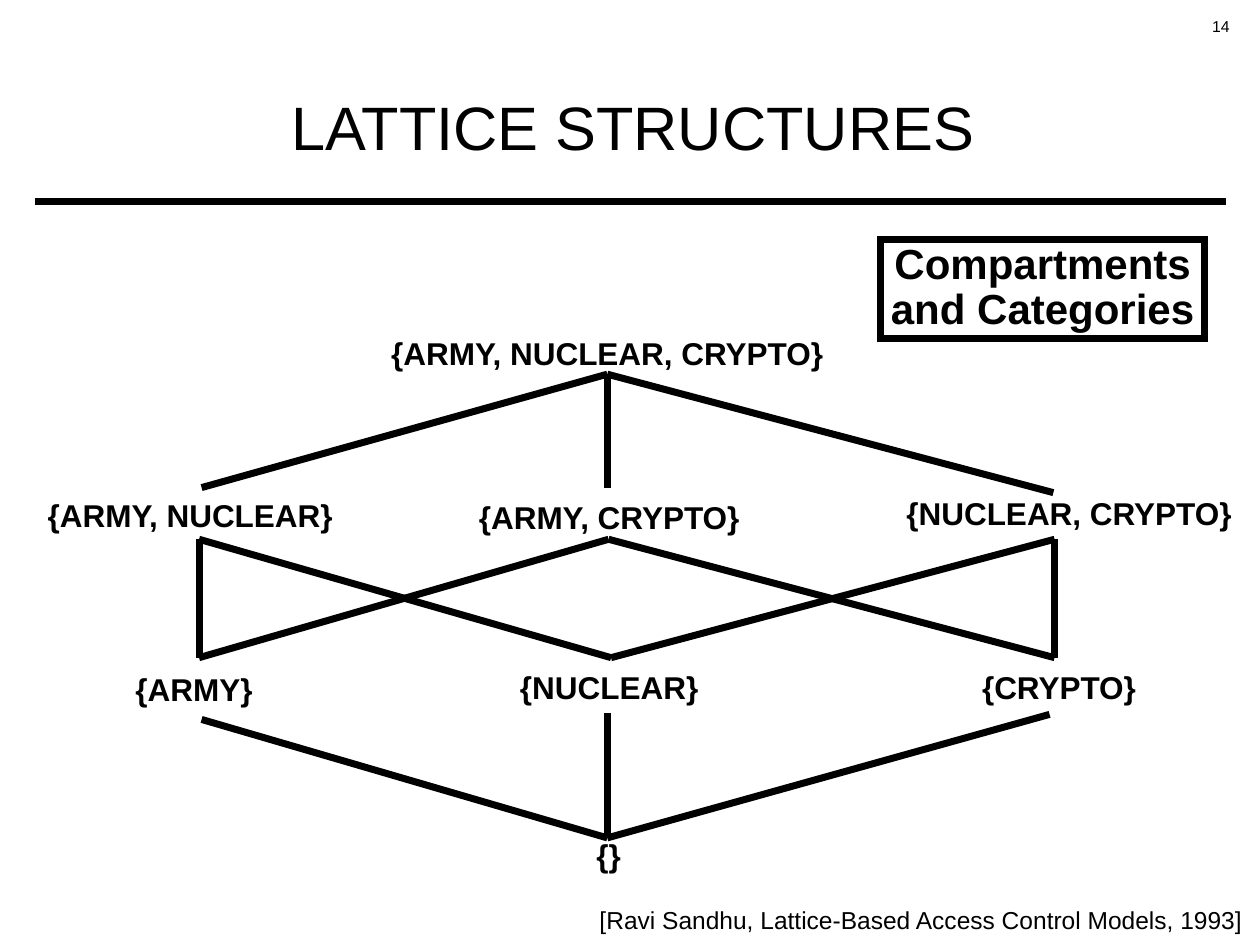
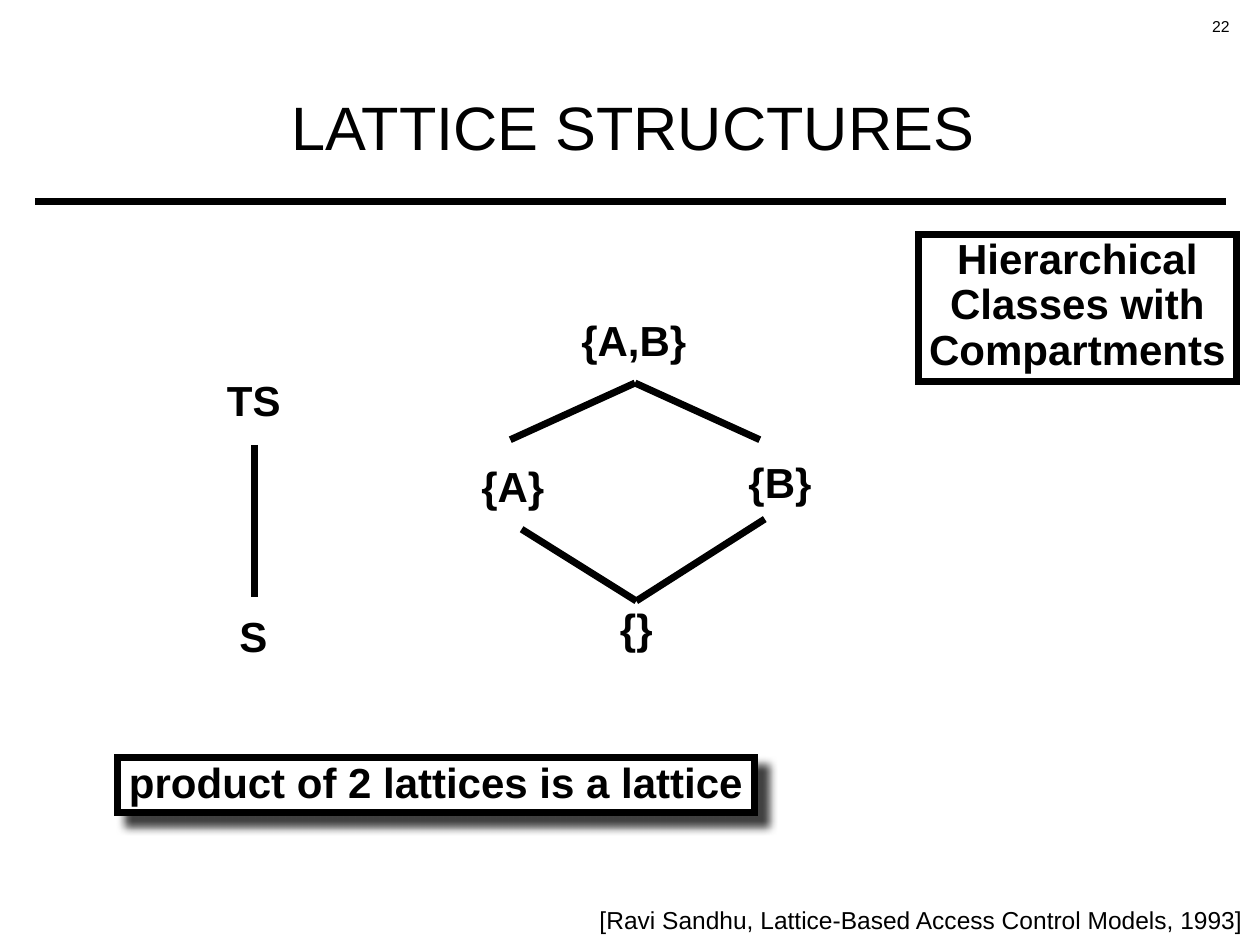
from collections import namedtuple
from itertools import product

from lxml import etree
from pptx import Presentation
from pptx.dml.color import RGBColor
from pptx.enum.shapes import MSO_CONNECTOR as Link, MSO_SHAPE as Shape
from pptx.enum.text import (MSO_ANCHOR as Anchor, MSO_AUTO_SIZE as Size,
                            PP_ALIGN as Align)
from pptx.oxml import parse_xml
from pptx.oxml.ns import nsdecls, qn
from pptx.util import Inches, Pt

BLACK = RGBColor(0, 0, 0)
WHITE = RGBColor(255, 255, 255)
FONT = "Arial"
STROKE = 4
TITLE = "LATTICE STRUCTURES"
SOURCE = "[Ravi Sandhu, Lattice-Based Access Control Models, 1993]"

# The slide is a grid of 100 columns and 75 rows
COLS, ROWS = 100, 75
CELL = Inches(10) // COLS

Box = namedtuple("Box", "x y w h")
# A label's box in its region, and the points where lines meet it
Node = namedtuple("Node", "text x y w up down")

POWER = [
    Node("{ARMY, NUCLEAR, CRYPTO}", 27.2, 0.7, 36, None, (45.2, 3.7)),
    Node("{ARMY, NUCLEAR}", 0, 13.5, 24.2, (13, 12.7), (12.8, 16.8)),
    Node("{ARMY, CRYPTO}", 34.2, 13.7, 22.3, (45.2, 12.7), (45.3, 16.8)),
    Node("{NUCLEAR, CRYPTO}", 68.1, 13.4, 27.5, (80.6, 13.1), (80.7, 16.8)),
    Node("{ARMY}", 7, 27.3, 10.8, (12.8, 26.2), (13, 31.1)),
    Node("{NUCLEAR}", 37.5, 27.2, 15.7, (45.5, 26.2), (45.2, 30.6)),
    Node("{CRYPTO}", 74.2, 27.2, 13.7, (80.7, 26.2), (80.3, 30.7)),
    Node("{}", 43.3, 40.5, 4, (45.2, 40.5), None),
]
PAIR = [
    Node("{A,B}", 8.4, 0.2, 9.8, None, (13.4, 5.4)),
    Node("{A}", 0.5, 11.8, 6.4, (3.5, 9.9), (4.4, 17)),
    Node("{B}", 21.7, 11.5, 6.4, (23.3, 9.9), (23.7, 16.2)),
    Node("{}", 11.2, 23.1, 4.6, (13.5, 22.7), None),
]


def cells(*nums):
    return [round(n * CELL) for n in nums]


def write(item, text, size=24, bold=True, align=Align.CENTER, lead=None,
          pad=(0.07, 0.03), wrap=False):
    """Fill a shape or text box with one paragraph per line of text."""
    frame = item.text_frame
    frame.word_wrap = wrap
    frame.auto_size = Size.SHAPE_TO_FIT_TEXT
    frame.vertical_anchor = Anchor.TOP
    frame.margin_left = frame.margin_right = Inches(pad[0])
    frame.margin_top = frame.margin_bottom = Inches(pad[1])
    for i, line in enumerate(text.split("\n")):
        para = frame.add_paragraph() if i else frame.paragraphs[0]
        para.alignment = align
        para.line_spacing = lead
        run = para.add_run()
        run.text = line
        run.font.name, run.font.size = FONT, Pt(size)
        run.font.bold, run.font.color.rgb = bold, BLACK


def label(slide, box, text, **look):
    write(slide.shapes.add_textbox(*cells(*box)), text, **look)


def rule(slide, box, start, end):
    """Draw a thick line between two points of a box."""
    ends = cells(box.x + start[0], box.y + start[1],
                 box.x + end[0], box.y + end[1])
    line = slide.shapes.add_connector(Link.STRAIGHT, *ends)
    line.line.color.rgb, line.line.width = BLACK, Pt(STROKE)
    etree.SubElement(line._element.spPr, qn("a:effectLst"))


def panel(slide, box, text, lead=0.9, solid=False):
    """Draw a framed caption; a solid one is white and casts a shadow."""
    item = slide.shapes.add_shape(Shape.RECTANGLE, *cells(*box))
    item.shadow.inherit = False
    item.line.color.rgb, item.line.width = BLACK, Pt(STROKE)
    # Square corners
    edge = item._element.spPr.find(qn("a:ln"))
    etree.SubElement(edge, qn("a:miter"), lim="800000")
    if solid:
        item.fill.solid()
        item.fill.fore_color.rgb = WHITE
        shade = parse_xml(
            f'<a:outerShdw {nsdecls("a")} blurRad="{Pt(5)}" '
            f'dist="{Pt(8.5)}" dir="2700000" algn="ctr" rotWithShape="0">'
            f'<a:srgbClr val="{BLACK}"><a:alpha val="75000"/></a:srgbClr>'
            '</a:outerShdw>')
        item._element.spPr.find(qn("a:effectLst")).append(shade)
    else:
        item.fill.background()
    write(item, text, lead=lead)


def members(node):
    names = node.text.strip("{}").split(",")
    return {name.strip() for name in names} - {""}


def lattice(slide, box, nodes, size, lead, high):
    """Place the sets and join each to those with one member less."""
    for node in nodes:
        spot = Box(box.x + node.x, box.y + node.y, node.w, high)
        label(slide, spot, node.text, size=size, lead=lead)
    for top, low in product(nodes, nodes):
        more, less = members(top), members(low)
        if less < more and len(more) - len(less) == 1:
            rule(slide, box, top.down, low.up)


def chain(slide, box):
    """Place the two ranked classes and the line between them."""
    label(slide, Box(box.x + 0.3, box.y, 5.7, 4.2), "TS", lead=0.87)
    label(slide, Box(box.x + 1.3, box.y + 18.7, 3.6, 4.2), "S", lead=0.87)
    rule(slide, box, (3.2, 5.3), (3.2, 17.4))


def base(deck, number):
    """Add a slide with the shared number, title, rule and source."""
    slide = deck.slides.add_slide(deck.slide_layouts[6])
    label(slide, Box(88, 0.6, 10.3, 2.4), number, size=9, bold=False,
          align=Align.RIGHT, lead=1.3, wrap=True)
    rule(slide, Box(2.8, 16, 94.5, 0), (0, 0), (94.5, 0))
    label(slide, Box(21.6, 7.7, 57.3, 5.7), TITLE, size=35, bold=False,
          lead=0.85)
    label(slide, Box(46.6, 71.3, 53.4, 3.4), SOURCE, size=14, bold=False,
          align=Align.LEFT, pad=(0.1, 0.05))
    return slide


def sets(deck):
    slide = base(deck, "14")
    panel(slide, Box(69.9, 19, 25.7, 7.9), "Compartments\nand Categories")
    lattice(slide, Box(3, 26, 96, 44), POWER, size=18, lead=0.85, high=3.2)


def classes(deck):
    slide = base(deck, "22")
    panel(slide, Box(72.9, 18.6, 25.2, 11.7),
          "Hierarchical\nClasses with\nCompartments")
    chain(slide, Box(17, 30, 6, 23))
    lattice(slide, Box(37, 25, 29, 28), PAIR, size=24, lead=0.87, high=4.2)
    panel(slide, Box(9.3, 60.1, 50.6, 4.4),
          "product of 2 lattices is a lattice", lead=0.94, solid=True)


def main():
    deck = Presentation()
    deck.slide_width, deck.slide_height = COLS * CELL, ROWS * CELL
    sets(deck)
    classes(deck)
    deck.save("out.pptx")


if __name__ == "__main__":
    main()
